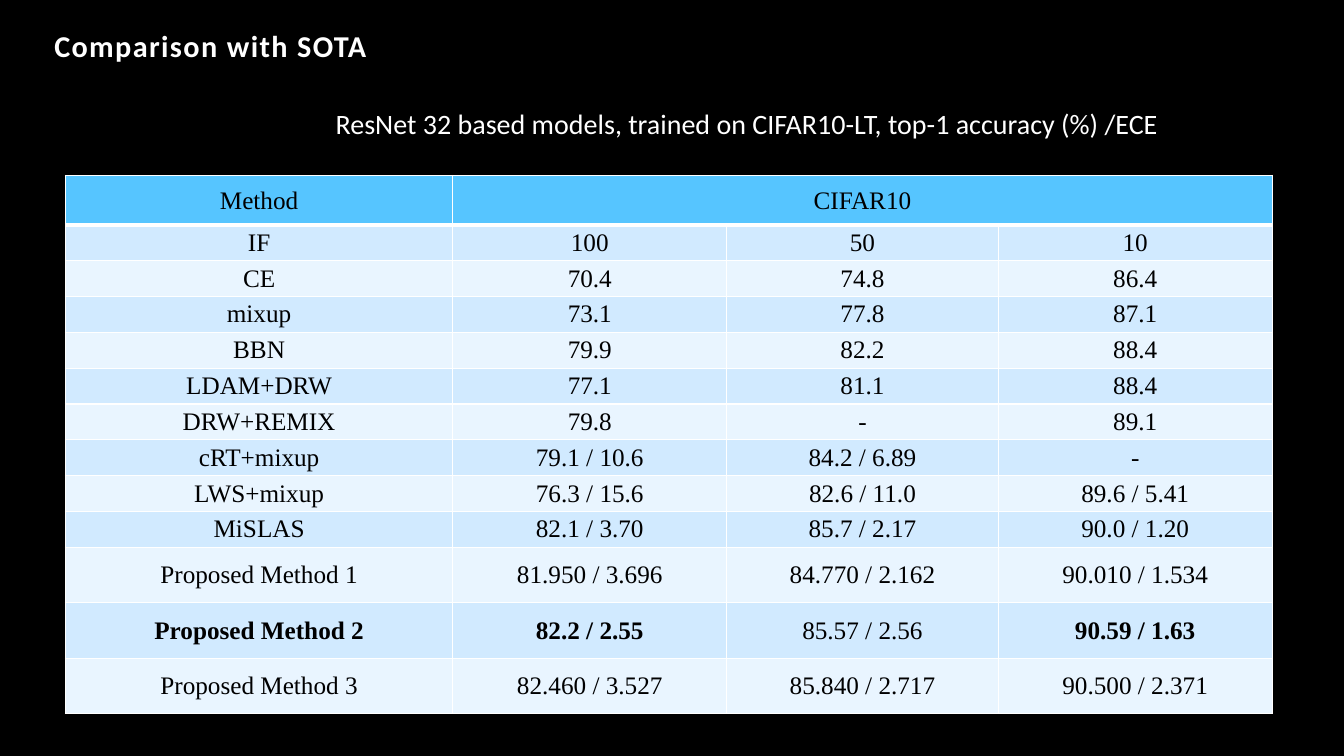
from lxml import etree
from pptx import Presentation
from pptx import util as u
from pptx.dml.color import RGBColor
from pptx.enum import text
from pptx.oxml import ns

THEME = {
    "background": "000000", "light_text": "FFFFFF", "dark_text": "000000",
    "border": "FFFFFF", "header": "56C5FF", "bands": ("E9F5FF", "D1EAFF"),
    "heading_font": "Calibri", "table_font": "Times New Roman",
    "title_size": 21.6, "subtitle_size": 20, "table_size": 18,
}

ROWS = [
    ("Method", "CIFAR10", "", ""),
    ("IF", "100", "50", "10"),
    ("CE", "70.4", "74.8", "86.4"),
    ("mixup", "73.1", "77.8", "87.1"),
    ("BBN", "79.9", "82.2", "88.4"),
    ("LDAM+DRW", "77.1", "81.1", "88.4"),
    ("DRW+REMIX", "79.8", "-", "89.1"),
    ("cRT+mixup", "79.1 / 10.6", "84.2 / 6.89", "-"),
    ("LWS+mixup", "76.3 / 15.6", "82.6 / 11.0", "89.6 / 5.41"),
    ("MiSLAS", "82.1 / 3.70", "85.7 / 2.17", "90.0 / 1.20"),
    ("Proposed Method 1", "81.950 / 3.696", "84.770 / 2.162", "90.010 / 1.534"),
    ("Proposed Method 2", "82.2 / 2.55", "85.57 / 2.56", "90.59 / 1.63"),
    ("Proposed Method 3", "82.460 / 3.527", "85.840 / 2.717", "90.500 / 2.371"),
]
BOLD_CELLS = {"Proposed Method 2", "82.2 / 2.55", "90.59 / 1.63"}
COLUMN_WIDTHS = (3.84, 2.72, 2.69, 2.72)
ROW_HEIGHTS = [0.49] + [0.34] * 9 + [0.55] * 3


def style_font(paragraph, name, size, color, bold=False):
    font = paragraph.font
    font.name, font.size, font.bold = name, u.Pt(size), bold
    font.color.rgb = RGBColor.from_string(color)


def add_border(cell, side, points):
    properties = cell._tc.get_or_add_tcPr()
    line = etree.SubElement(properties, ns.qn(f"a:ln{side}"), w=str(u.Pt(points)))
    fill = etree.SubElement(line, ns.qn("a:solidFill"))
    etree.SubElement(fill, ns.qn("a:srgbClr"), val=THEME["border"])


# Slide and background
presentation = Presentation()
presentation.slide_width, presentation.slide_height = u.Inches(13.33), u.Inches(7.5)
slide = presentation.slides.add_slide(presentation.slide_layouts[6])
slide.background.fill.solid()
slide.background.fill.fore_color.rgb = RGBColor.from_string(THEME["background"])

# Title and subtitle
headings = [
    ("Comparison with SOTA", (0.44, 0.24, 5.67, 0.44),
     THEME["title_size"], True, text.MSO_ANCHOR.BOTTOM, 100),
    ("ResNet 32 based models, trained on CIFAR10-LT, top-1 accuracy (%) /ECE",
     (3.23, 1.04, 9.45, 0.71), THEME["subtitle_size"], False, text.MSO_ANCHOR.TOP, 0),
]
for wording, place, size, bold, anchor, letter_spacing in headings:
    frame = slide.shapes.add_textbox(*map(u.Inches, place)).text_frame
    frame.word_wrap = True
    frame.vertical_anchor = anchor
    paragraph = frame.paragraphs[0]
    paragraph.line_spacing = 0.9
    run = paragraph.add_run()
    run.text = wording
    run._r.get_or_add_rPr().set("spc", str(letter_spacing))
    style_font(paragraph, THEME["heading_font"], size, THEME["light_text"], bold)

# Results table
table = slide.shapes.add_table(
    len(ROWS), len(COLUMN_WIDTHS), u.Inches(0.65), u.Inches(1.74),
    u.Inches(sum(COLUMN_WIDTHS)), u.Inches(sum(ROW_HEIGHTS))).table
for column, width in zip(table.columns, COLUMN_WIDTHS):
    column.width = u.Inches(width)
for row, height in zip(table.rows, ROW_HEIGHTS):
    row.height = u.Inches(height)
table.cell(0, 1).merge(table.cell(0, 3))

for row_index, values in enumerate(ROWS):
    is_header = row_index == 0
    for column_index, value in enumerate(values):
        cell = table.cell(row_index, column_index)
        cell.vertical_anchor = text.MSO_ANCHOR.MIDDLE
        cell.margin_left = cell.margin_right = u.Inches(0.01)
        cell.margin_top = u.Inches(0.01) if is_header else u.Pt(2)
        cell.margin_bottom = 0 if is_header else u.Pt(2)

        # Thick rule between the header and the body
        add_border(cell, "L", 1)
        add_border(cell, "R", 1)
        add_border(cell, "T", 3 if row_index == 1 else 1)
        add_border(cell, "B", 3 if is_header else 1)

        color = THEME["header"] if is_header else THEME["bands"][row_index % 2]
        cell.fill.solid()
        cell.fill.fore_color.rgb = RGBColor.from_string(color)

        paragraph = cell.text_frame.paragraphs[0]
        if value:
            paragraph.add_run().text = value
        paragraph.alignment = text.PP_ALIGN.CENTER
        style_font(paragraph, THEME["table_font"], THEME["table_size"],
                   THEME["dark_text"], value in BOLD_CELLS)

presentation.save("out.pptx")
